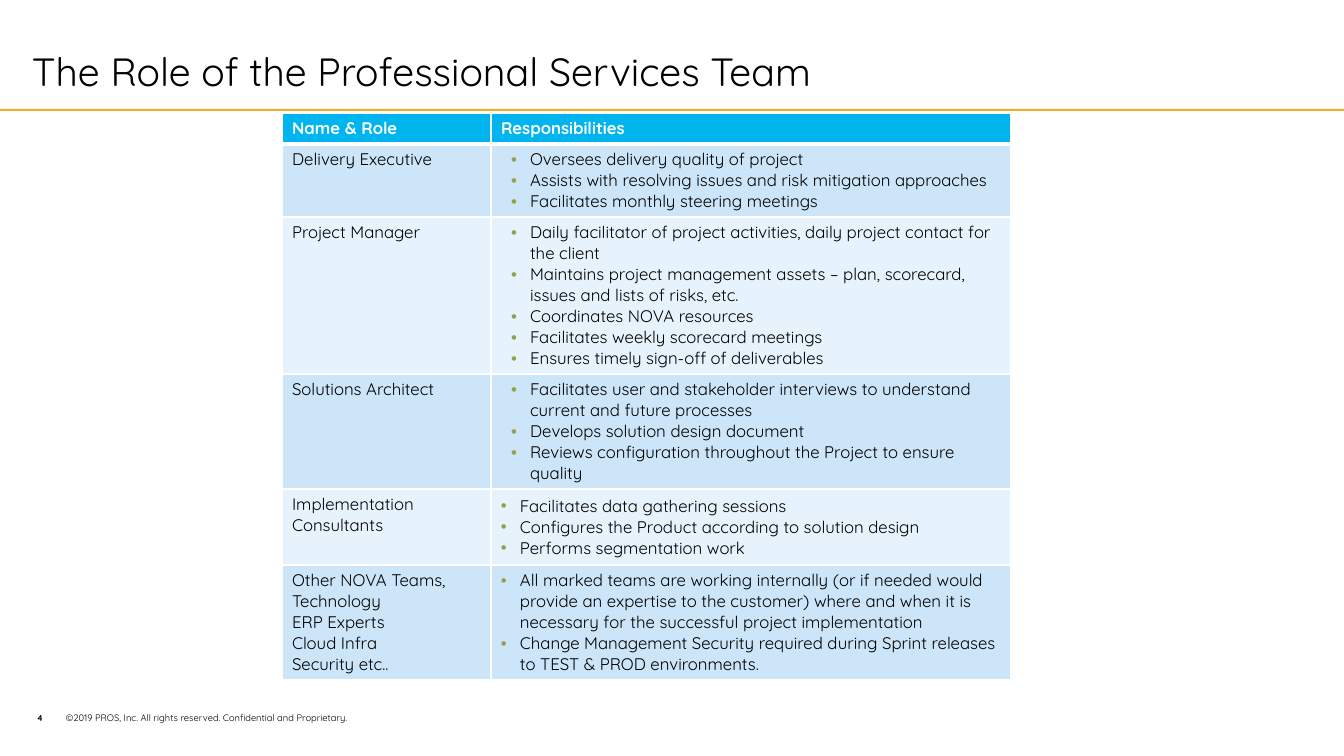
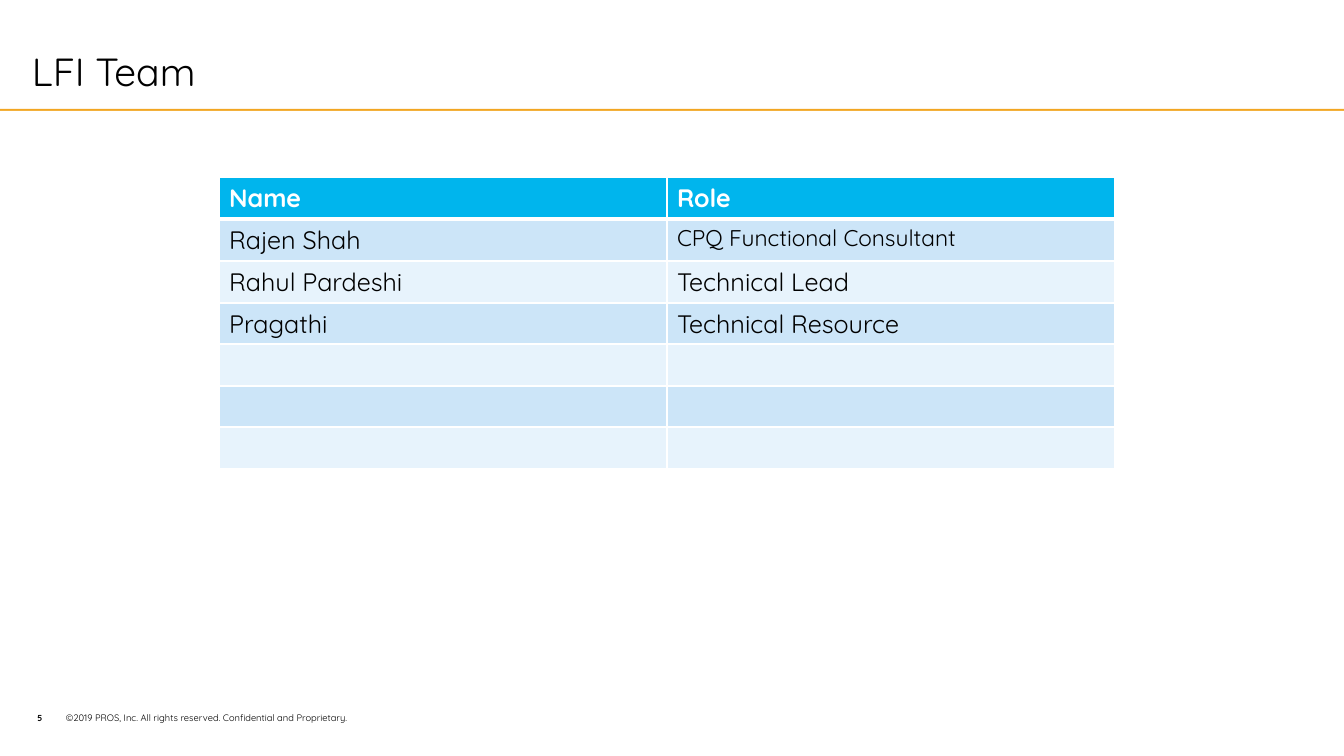
from lxml import etree
from pptx import Presentation
from pptx.dml.color import RGBColor
from pptx.enum.shapes import MSO_SHAPE
from pptx.enum.text import MSO_ANCHOR, MSO_AUTO_SIZE, PP_ALIGN
from pptx.oxml.ns import qn
from pptx.util import Emu, Pt

LEFT, CENTER = PP_ALIGN.LEFT, PP_ALIGN.CENTER
TOP, MIDDLE = MSO_ANCHOR.TOP, MSO_ANCHOR.MIDDLE
RECTANGLE = MSO_SHAPE.RECTANGLE
EMU_PER_PX = 914400 / 100.8
FONT = "Quicksand"
TITLE_ONLY = 5
FIRST_NUMBER = 4
COPYRIGHT = "©2019 PROS, Inc. All rights reserved. Confidential and Proprietary."
COLORS = {
    "text": "000000",
    "white": "FFFFFF",
    "rule": "F2A622",
    "header": "00B5ED",
    "band_dark": "CCE5F8",
    "band_light": "E7F3FC",
    "bullet": "96A145",
}


def px(*lengths):
    """Turn pixel lengths into a list of EMU lengths."""
    return [Emu(round(length * EMU_PER_PX)) for length in lengths]


def write(para, text, size, color="text", bold=False, align=LEFT, bullet=False):
    """Fill a paragraph with one formatted span."""
    para.alignment = align
    if bullet:
        margin, indent = px(29, -19)
        props = para._p.get_or_add_pPr()
        props.set("marL", str(margin))
        props.set("indent", str(indent))
        bullet_color = etree.SubElement(props, qn("a:buClr"))
        etree.SubElement(bullet_color, qn("a:srgbClr"), val=COLORS["bullet"])
        etree.SubElement(props, qn("a:buFont"), typeface="Arial")
        etree.SubElement(props, qn("a:buChar"), char="•")
    span = para.add_run()
    span.text = text
    for name, value in {"name": FONT, "size": Pt(size), "bold": bold}.items():
        setattr(span.font, name, value)
    span.font.color.rgb = RGBColor.from_string(COLORS[color])


# Content: each cell is a list of paragraphs
ROLE_ROWS = [
    [["Name & Role"], ["Responsibilities"]],
    [["Delivery Executive"], [
        "Oversees delivery quality of project",
        "Assists with resolving issues and risk mitigation approaches",
        "Facilitates monthly steering meetings"]],
    [["Project Manager"], [
        "Daily facilitator of project activities, daily project contact for the client",
        "Maintains project management assets – plan, scorecard, issues and lists of risks, etc.",
        "Coordinates NOVA resources",
        "Facilitates weekly scorecard meetings",
        "Ensures timely sign-off of deliverables"]],
    [["Solutions Architect"], [
        "Facilitates user and stakeholder interviews to understand current and future processes",
        "Develops solution design document",
        "Reviews configuration throughout the Project to ensure quality"]],
    [["Implementation Consultants"], [
        "Facilitates data gathering sessions",
        "Configures the Product according to solution design",
        "Performs segmentation work"]],
    [["Other NOVA Teams,", "Technology", "ERP Experts", "Cloud Infra", "Security etc.."], [
        "All marked teams are working internally (or if needed would provide an expertise "
        "to the customer) where and when it is necessary for the successful project "
        "implementation",
        "Change Management Security required during Sprint releases to TEST & PROD "
        "environments."]],
]
TEAM_ROWS = [
    [["Name"], ["Role"]],
    [["Rajen Shah"], ["CPQ Functional Consultant"]],
    [["Rahul Pardeshi"], ["Technical Lead"]],
    [["Pragathi"], ["Technical Resource"]],
    [[], []],
    [[], []],
    [[], []],
]
PAGES = [
    {"title": "The Role of the Professional Services Team", "title_size": 28.1,
     "rows": ROLE_ROWS, "corner": (282, 113), "columns": (209, 520),
     "heights": (31, 73, 157, 115, 76, 115),
     "size": 12, "bulleted": True, "flush_rows": (4, 5), "small_cells": {}},
    {"title": "LFI Team", "title_size": 28,
     "rows": TEAM_ROWS, "corner": (219, 177), "columns": (448, 448),
     "heights": (42, 42, 42, 41, 42, 41, 42),
     "size": 18, "bulleted": False, "flush_rows": (), "small_cells": {(1, 1): 16.2}},
]

deck = Presentation()
deck.slide_width, deck.slide_height = px(1344, 756)

for number, content in enumerate(PAGES, FIRST_NUMBER):
    page = deck.slides.add_slide(deck.slide_layouts[TITLE_ONLY])

    # Body panel: the coloured edge above the white area is the title rule
    for top, color in ((109, "rule"), (111, "white")):
        panel = page.shapes.add_shape(RECTANGLE, *px(0, top, 1344, 562))
        panel.shadow.inherit = False
        panel.fill.solid()
        panel.fill.fore_color.rgb = RGBColor.from_string(COLORS[color])
        panel.line.fill.background()

    # Title
    title = page.shapes.title
    title.left, title.top, title.width, title.height = px(32, 47, 1302, 63)
    frame = title.text_frame
    frame_format = {"margin_left": 0, "margin_top": 0, "margin_right": 0, "margin_bottom": 0,
                    "vertical_anchor": TOP, "word_wrap": True,
                    "auto_size": MSO_AUTO_SIZE.NONE}
    for name, value in frame_format.items():
        setattr(frame, name, value)
    write(frame.paragraphs[0], content["title"], content["title_size"])

    # Footer: page number and copyright
    for left, top, width, text, size, bold, align in (
        (25, 708, 30, str(number), 6.2, True, CENTER),
        (56, 707, 317, COPYRIGHT, 6.7, False, LEFT),
    ):
        box = page.shapes.add_textbox(*px(left, top, width, 21))
        box.text_frame.word_wrap = True
        write(box.text_frame.paragraphs[0], text, size, bold=bold, align=align)

    # Table
    rows, columns, heights = content["rows"], content["columns"], content["heights"]
    table = page.shapes.add_table(
        len(rows), len(columns),
        *px(*content["corner"], sum(columns), sum(heights))).table
    for column, width in zip(table.columns, px(*columns)):
        column.width = width
    for row, height in zip(table.rows, px(*heights)):
        row.height = height

    for row_index, row in enumerate(rows):
        is_header = row_index == 0
        band = "header" if is_header else ("band_light", "band_dark")[row_index % 2]
        # The edge between header and body is thicker than the others
        edges = {"lnL": 1, "lnR": 1, "lnT": 3 if row_index == 1 else 1,
                 "lnB": 3 if is_header else 1}
        for column_index, lines in enumerate(row):
            cell = table.cell(row_index, column_index)
            cell_props = cell._tc.get_or_add_tcPr()
            for edge, points in edges.items():
                border = etree.SubElement(cell_props, qn(f"a:{edge}"), w=str(Pt(points)))
                border_fill = etree.SubElement(border, qn("a:solidFill"))
                etree.SubElement(border_fill, qn("a:srgbClr"), val=COLORS["white"])
            cell.fill.solid()
            cell.fill.fore_color.rgb = RGBColor.from_string(COLORS[band])
            is_list = content["bulleted"] and column_index == 1 and not is_header
            if is_list and row_index in content["flush_rows"]:
                cell.margin_left = cell.margin_right = 0
                cell.vertical_anchor = MIDDLE
            size = content["small_cells"].get((row_index, column_index), content["size"])
            frame = cell.text_frame
            for line_index, line in enumerate(lines):
                para = frame.add_paragraph() if line_index else frame.paragraphs[0]
                write(para, line, size, "white" if is_header else "text",
                      bold=is_header, bullet=is_list)

deck.save("out.pptx")
